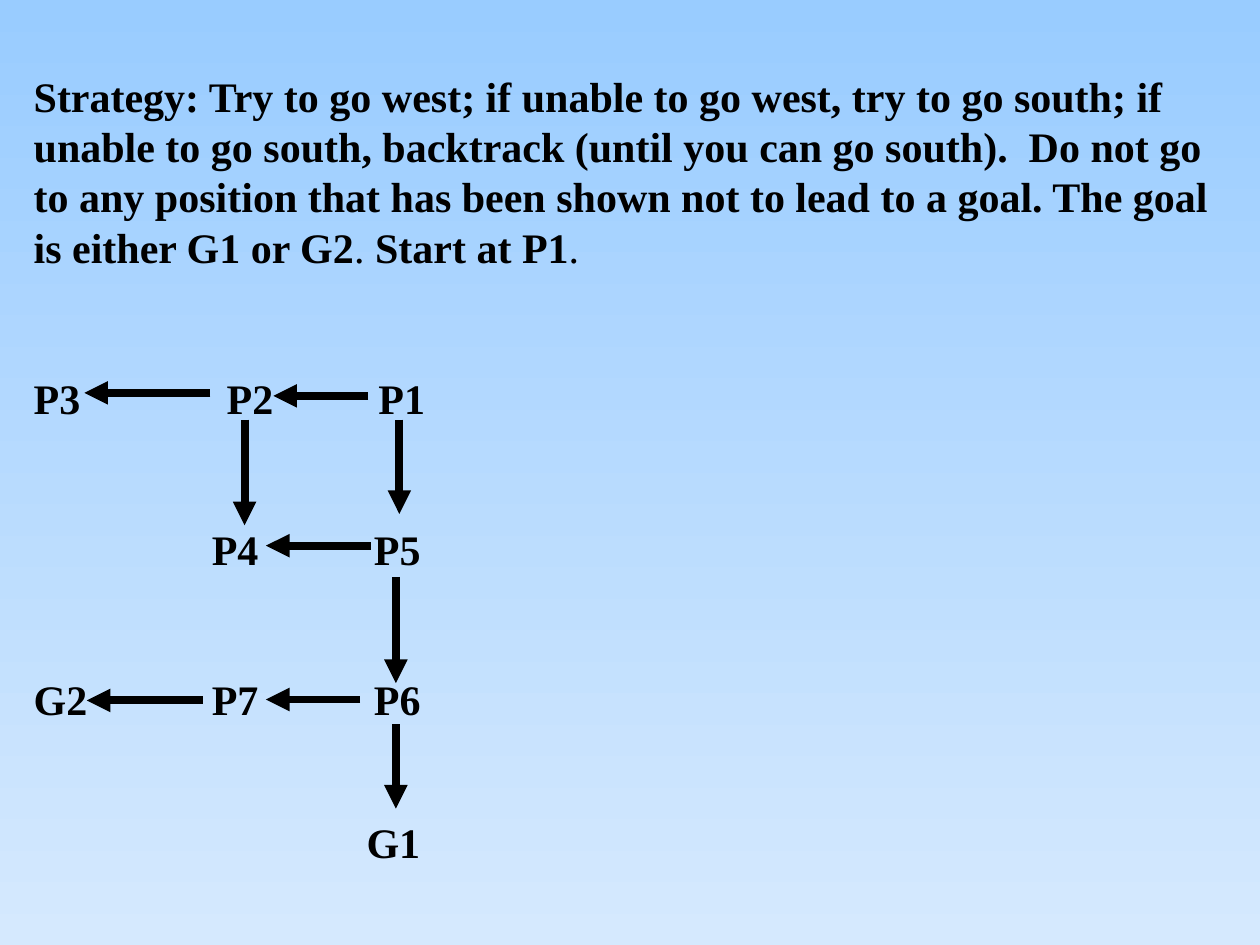
from lxml import etree
from pptx import Presentation
from pptx import util as u
from pptx.dml.color import RGBColor
from pptx.enum import shapes, text
from pptx.oxml.ns import qn

BLACK = RGBColor(0x00, 0x00, 0x00)
SKY = RGBColor(0x99, 0xCC, 0xFF)
PALE = RGBColor(0xD5, 0xE9, 0xFE)

LINE_HEIGHT = 28.75
BODY = {"name": "Times New Roman", "size": u.Pt(24), "bold": True}
PLAIN = {**BODY, "bold": False}
FRAME = {
    "word_wrap": True,
    "auto_size": text.MSO_AUTO_SIZE.NONE,
    "vertical_anchor": text.MSO_ANCHOR.TOP,
    "margin_left": u.Cm(0.25),
    "margin_right": u.Cm(0.25),
    "margin_top": u.Cm(0.18),
    "margin_bottom": u.Cm(0.13),
}

STRATEGY = [
    ("Strategy: Try to go west; if unable to go west, try to go south; if "
     "unable to go south, backtrack (until you can go south).  Do not go ", BODY),
    None,
    ("to any position that has been shown not to lead to a goal. The goal ", BODY),
    None,
    ("is either G1 or G2", BODY),
    (". ", PLAIN),
    ("Start at P1", BODY),
    (".", PLAIN),
]

MAP_ROWS = [
    ("P3\tP2\tP1", (3.89, 6.95), 2 * LINE_HEIGHT),
    ("\tP4\tP5", (3.59, 6.86), 2 * LINE_HEIGHT),
    ("G2\tP7\tP6", (3.59, 6.86), 2 * LINE_HEIGHT),
    ("\tG1", (6.71,), 53),
]

WEST_ARROWS = [
    (7.42, 5.51, 7.98),
    (4.24, 1.7, 7.92),
    (7.47, 5.36, 11),
    (7.26, 5.36, 14.1),
    (4.09, 1.75, 14.12),
]
SOUTH_ARROWS = [
    (4.93, 8.46, 10.59),
    (8.05, 8.46, 10.36),
    (7.98, 11.63, 13.77),
    (7.98, 14.6, 16.3),
]


def apply(target, values):
    for key, value in values.items():
        setattr(target, key, value)


def add_span(para, wording, style):
    span = para.add_run()
    span.text = wording
    apply(span.font, style)
    span.font.color.rgb = BLACK


def set_tabs(para, stops):
    tabs = etree.SubElement(para._p.get_or_add_pPr(), qn("a:tabLst"))
    for stop in stops:
        etree.SubElement(tabs, qn("a:tab"), pos=str(u.Cm(stop)), algn="l")


def add_strategy(para):
    para.line_spacing = u.Pt(LINE_HEIGHT)
    for part in STRATEGY:
        if part is None:
            para.add_line_break()
        else:
            add_span(para, *part)


def add_map_row(frame, wording, stops, gap):
    para = frame.add_paragraph()
    para.line_spacing = u.Pt(LINE_HEIGHT)
    para.space_before = u.Pt(gap)
    set_tabs(para, stops)
    add_span(para, wording, BODY)


def add_text(page):
    box = page.shapes.add_textbox(u.Cm(0.43), u.Cm(1.24), u.Cm(25.4), u.Cm(16.36))
    frame = box.text_frame
    apply(frame, FRAME)
    add_strategy(frame.paragraphs[0])
    for row in MAP_ROWS:
        add_map_row(frame, *row)


def add_arrow(page, *ends):
    arrow = page.shapes.add_connector(
        shapes.MSO_CONNECTOR.STRAIGHT, *(u.Cm(end) for end in ends))
    arrow.line.color.rgb = BLACK
    arrow.line.width = u.Pt(4.5)
    etree.SubElement(arrow.line._get_or_add_ln(), qn("a:tailEnd"), type="triangle")
    etree.SubElement(arrow._element.spPr, qn("a:effectLst"))


def paint_background(page):
    fill = page.background.fill
    fill.gradient()
    fill.gradient_angle = 270
    for stop, color, position in zip(fill.gradient_stops, (SKY, PALE), (0, 1)):
        stop.color.rgb = color
        stop.position = position


def main():
    deck = Presentation()
    deck.slide_width, deck.slide_height = u.Cm(25.4), u.Cm(19.05)
    page = deck.slides.add_slide(deck.slide_layouts[6])
    paint_background(page)
    add_text(page)
    for start, end, y in WEST_ARROWS:
        add_arrow(page, start, y, end, y)
    for x, start, end in SOUTH_ARROWS:
        add_arrow(page, x, start, x, end)
    deck.save("out.pptx")


if __name__ == "__main__":
    main()
